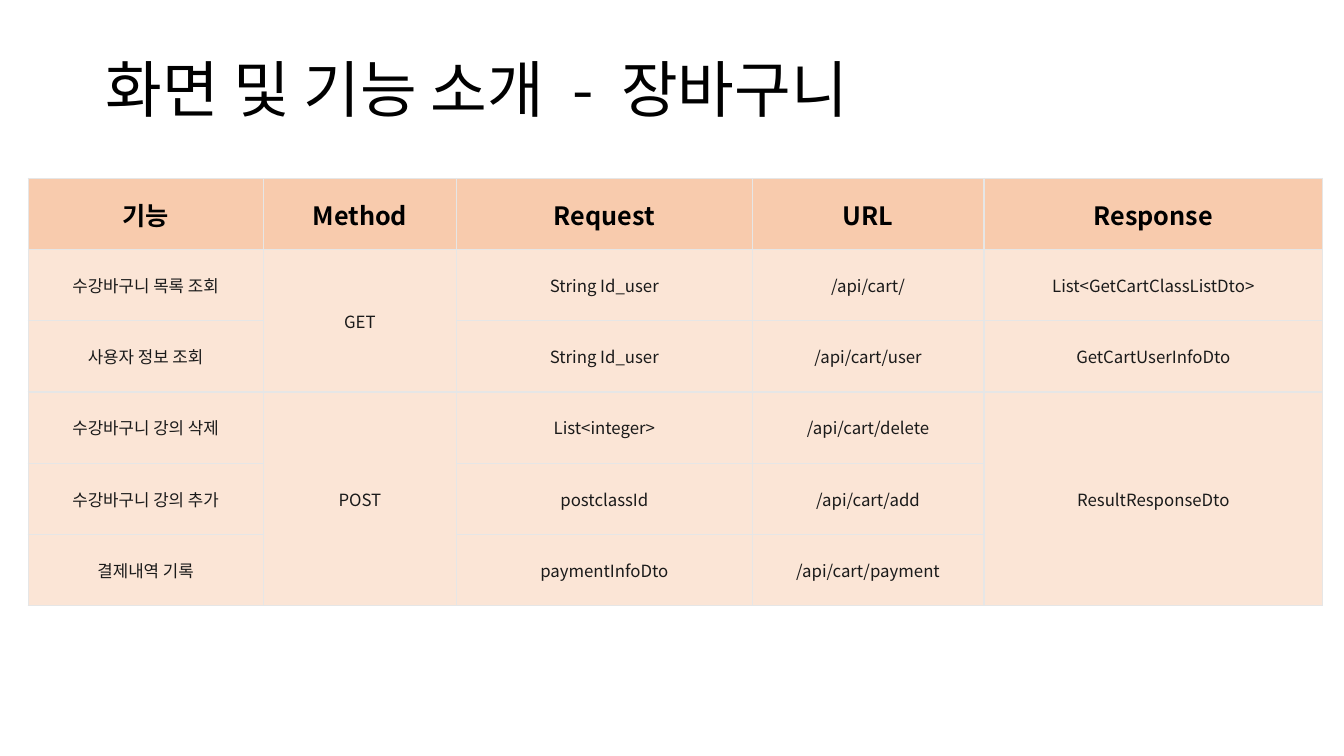
from dataclasses import dataclass

from lxml.etree import SubElement
from pptx import Presentation
from pptx.dml.color import RGBColor
from pptx.enum.text import MSO_ANCHOR as Anchor, MSO_AUTO_SIZE as AutoSize, PP_ALIGN as Align
from pptx.oxml.ns import qn
from pptx.util import Inches, Pt

TITLE = "화면 및 기능 소개  -  장바구니"
HEADERS = ["기능", "Method", "Request", "URL", "Response"]
ENDPOINTS = [
    ["수강바구니 목록 조회", "GET", "String Id_user", "/api/cart/", "List<GetCartClassListDto>"],
    ["사용자 정보 조회", None, "String Id_user", "/api/cart/user", "GetCartUserInfoDto"],
    ["수강바구니 강의 삭제", "POST", "List<integer>", "/api/cart/delete", "ResultResponseDto"],
    ["수강바구니 강의 추가", None, "postclassId", "/api/cart/add", None],
    ["결제내역 기록", None, "paymentInfoDto", "/api/cart/payment", None],
]
COLUMN_WIDTHS = [2.33, 1.92, 2.93, 2.3, 3.36]
ROW_HEIGHT = 4.24 / 6


@dataclass(frozen=True)
class Theme:
    font: str = "Noto Sans CJK KR"
    title_color: str = "000000"
    body_color: str = "1A1A1A"
    header_fill: str = "F8CBAD"
    body_fill: str = "FBE5D6"
    border: str = "E6E6E6"
    title_size: int = 44
    header_size: int = 18
    body_size: int = 12


THEME = Theme()


def style_paragraph(paragraph, size, color, bold, alignment):
    paragraph.alignment = alignment
    font = paragraph.font
    font.name = THEME.font
    font.size = Pt(size)
    font.bold = bold
    font.color.rgb = RGBColor.from_string(color)
    properties = paragraph._p.pPr.find(qn("a:defRPr"))
    SubElement(properties, qn("a:ea")).set("typeface", THEME.font)


def add_borders(cell):
    properties = cell._tc.get_or_add_tcPr()
    for position, side in enumerate(("a:lnL", "a:lnR", "a:lnT", "a:lnB")):
        line = SubElement(properties, qn(side), w=str(Pt(1)))
        fill = SubElement(line, qn("a:solidFill"))
        SubElement(fill, qn("a:srgbClr"), val=THEME.border)
        properties.insert(position, line)


def add_title(slide):
    title = slide.shapes.title
    title.left, title.top = Inches(0.95), Inches(0.4)
    title.width, title.height = Inches(12.05), Inches(1.04)
    frame = title.text_frame
    frame.text = TITLE
    frame.auto_size = AutoSize.NONE
    frame.vertical_anchor = Anchor.MIDDLE
    paragraph = frame.paragraphs[0]
    paragraph.line_spacing = 0.9
    style_paragraph(paragraph, THEME.title_size, THEME.title_color, False, Align.LEFT)


def add_endpoint_table(slide):
    rows = [HEADERS, *ENDPOINTS]
    table = slide.shapes.add_table(
        len(rows), len(HEADERS), Inches(0.28), Inches(1.77),
        Inches(sum(COLUMN_WIDTHS)), Inches(ROW_HEIGHT * len(rows)),
    ).table
    for column, width in zip(table.columns, COLUMN_WIDTHS):
        column.width = Inches(width)
    for row_index, values in enumerate(rows):
        header = row_index == 0
        size = THEME.header_size if header else THEME.body_size
        color = THEME.title_color if header else THEME.body_color
        fill = THEME.header_fill if header else THEME.body_fill
        for column_index, value in enumerate(values):
            cell = table.cell(row_index, column_index)
            cell.fill.solid()
            cell.fill.fore_color.rgb = RGBColor.from_string(fill)
            cell.vertical_anchor = Anchor.MIDDLE
            add_borders(cell)
            if value is not None:
                cell.text = value
                style_paragraph(cell.text_frame.paragraphs[0], size, color, header, Align.CENTER)
    merge_empty_cells(table, rows)


def merge_empty_cells(table, rows):
    for column_index, values in enumerate(zip(*rows)):
        starts = [index for index, value in enumerate(values) if value is not None]
        for start, following in zip(starts, starts[1:] + [len(rows)]):
            if following - start > 1:
                table.cell(start, column_index).merge(table.cell(following - 1, column_index))


def main():
    presentation = Presentation()
    presentation.slide_width, presentation.slide_height = Inches(13.33), Inches(7.5)
    slide = presentation.slides.add_slide(presentation.slide_layouts[5])
    add_title(slide)
    add_endpoint_table(slide)
    presentation.save("out.pptx")


if __name__ == "__main__":
    main()
